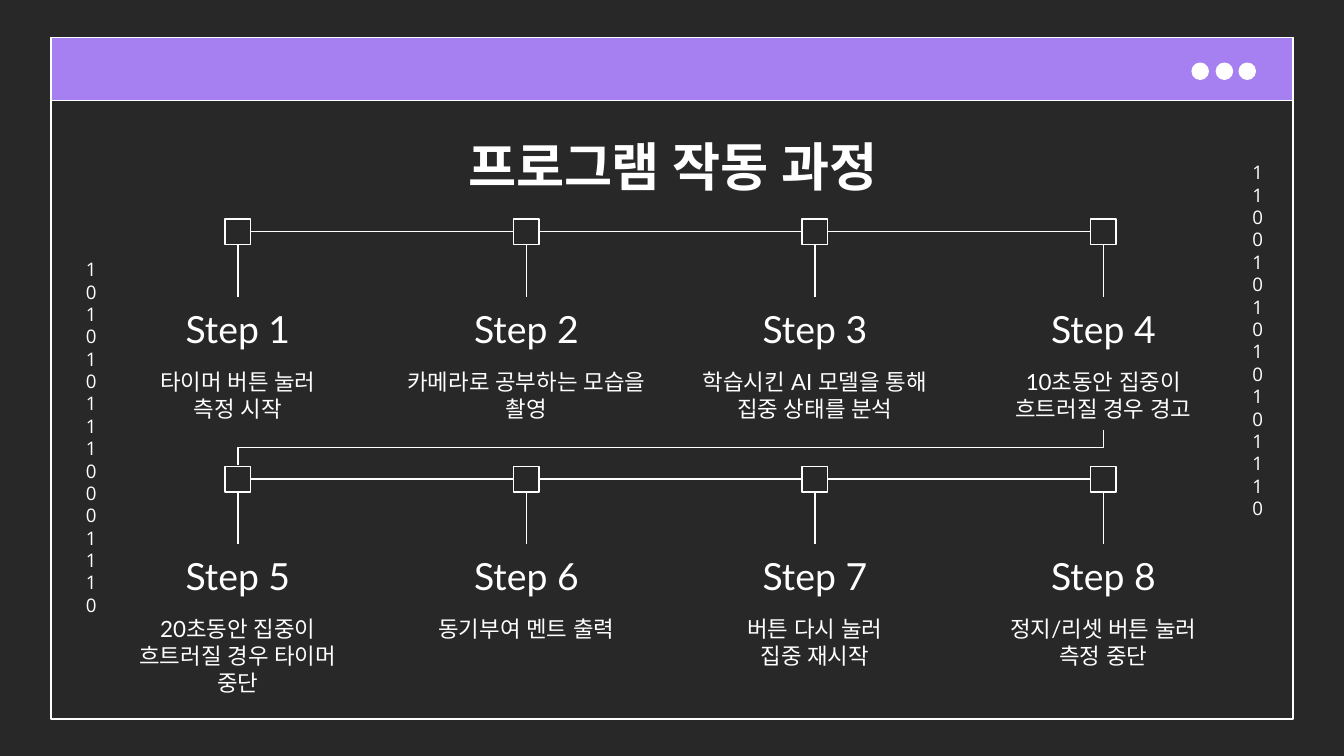
from dataclasses import dataclass

from pptx import Presentation
from pptx import util as u
from pptx.dml.color import RGBColor
from pptx.enum import shapes, text
from pptx.oxml import ns
from lxml import etree


@dataclass(frozen=True)
class Theme:
    dark: RGBColor = RGBColor(0x29, 0x28, 0x28)
    white: RGBColor = RGBColor(0xFF, 0xFF, 0xFF)
    purple: RGBColor = RGBColor(0xA6, 0x7F, 0xF1)
    heading: str = "Lato"
    digits: str = "Open Sans"
    title_size: int = 28
    step_size: int = 20
    body_size: int = 12
    digit_size: int = 10
    line_width: float = 0.75


class Canvas:
    def __init__(self, page, theme):
        self.page = page
        self.theme = theme
        page.background.fill.solid()
        page.background.fill.fore_color.rgb = theme.dark

    def shape(self, kind, left, top, width, height, fill=None):
        shape = self.page.shapes.add_shape(
            kind, u.Inches(left), u.Inches(top), u.Inches(width), u.Inches(height))
        shape.shadow.inherit = False
        if fill is None:
            shape.fill.background()
        else:
            shape.fill.solid()
            shape.fill.fore_color.rgb = fill
        self.outline(shape.line)
        return shape

    def outline(self, line):
        line.color.rgb = self.theme.white
        line.width = u.Pt(self.theme.line_width)

    def label(self, words, left, top, width, height, size, font=None,
              bold=False, anchor=text.MSO_ANCHOR.TOP, spacing=None):
        box = self.page.shapes.add_textbox(
            u.Inches(left), u.Inches(top), u.Inches(width), u.Inches(height))
        frame = box.text_frame
        frame.word_wrap = True
        frame.vertical_anchor = anchor
        frame.margin_left = frame.margin_right = u.Inches(0.1)
        frame.margin_top = frame.margin_bottom = u.Inches(0.1)
        frame.text = words
        font = font or self.theme.heading
        for para in frame.paragraphs:
            para.alignment = text.PP_ALIGN.CENTER
            if spacing:
                para.line_spacing = u.Pt(spacing)
            for span in para.runs:
                span.font.size = u.Pt(size)
                span.font.bold = bold
                span.font.color.rgb = self.theme.white
                span.font.name = font
                # Use the same typeface for Korean text
                east_asian = etree.SubElement(span.font._element, ns.qn("a:ea"))
                east_asian.set("typeface", font)
        return box

    def connector(self, kind, left, top, right, bottom):
        line = self.page.shapes.add_connector(
            kind, u.Inches(left), u.Inches(top), u.Inches(right), u.Inches(bottom))
        self.outline(line.line)
        etree.SubElement(line._element.spPr, ns.qn("a:effectLst"))
        return line

    def join(self, start, start_side, end, end_side):
        line = self.connector(shapes.MSO_CONNECTOR.STRAIGHT, 0, 0, 1, 1)
        line.begin_connect(start, start_side)
        line.end_connect(end, end_side)

    def turned_elbow(self, left, top, width, height):
        """Elbow turned by 90 degrees, so that it leaves and arrives vertically."""
        line = self.connector(
            shapes.MSO_CONNECTOR.ELBOW, left, top, left + width, top + height)
        line._element.spPr.find(ns.qn("a:xfrm")).set("rot", "5400000")


TOP, LEFT, BOTTOM, RIGHT = range(4)
FIRST_CENTER, ROW_SPAN = 1.77, 6.44
FIRST_ROW, ROW_PITCH = 1.63, 1.84
NODE, STEP_WIDTH = 0.19, 1.98
STEP_ROWS = [
    ["타이머 버튼 눌러\n측정 시작", "카메라로 공부하는 모습을 촬영",
     "학습시킨 AI 모델을 통해\n집중 상태를 분석", "10초동안 집중이 흐트러질 경우 경고"],
    ["20초동안 집중이 흐트러질 경우 타이머 중단", "동기부여 멘트 출력",
     "버튼 다시 눌러\n집중 재시작", "정지/리셋 버튼 눌러\n측정 중단"],
]


def draw_window(canvas):
    theme, kind = canvas.theme, shapes.MSO_SHAPE
    canvas.shape(kind.RECTANGLE, 0.38, 0.28, 9.24, 5.07)
    canvas.shape(kind.RECTANGLE, 0.38, 0.28, 9.24, 0.47, theme.purple)
    for left in (8.87, 9.05, 9.22):
        canvas.shape(kind.OVAL, left, 0.47, 0.12, 0.12, theme.white)
    # Columns of binary digits, wrapped to one digit per line
    for digits, left, top in [("1100101010101110", 9.22, 1.1),
                              ("101010111000111\n0", 0.54, 1.82)]:
        canvas.label(digits, left, top, 0.24, 2.8, theme.digit_size,
                     font=theme.digits, spacing=12)


def draw_step_row(canvas, row, descriptions):
    theme = canvas.theme
    top = FIRST_ROW + ROW_PITCH * row
    pitch = ROW_SPAN / (len(descriptions) - 1)
    previous = None
    for column, description in enumerate(descriptions):
        center = FIRST_CENTER + pitch * column
        left = center - STEP_WIDTH / 2
        number = row * len(descriptions) + column + 1
        node = canvas.shape(shapes.MSO_SHAPE.RECTANGLE, center - NODE / 2, top,
                            NODE, NODE, theme.dark)
        name = canvas.label(f"Step {number}", left, top + 0.58, STEP_WIDTH, 0.5,
                            theme.step_size, anchor=text.MSO_ANCHOR.BOTTOM)
        canvas.label(description, left, top + 1.01, STEP_WIDTH, 0.57, theme.body_size)
        canvas.join(node, BOTTOM, name, TOP)
        if previous is not None:
            canvas.join(previous, RIGHT, node, LEFT)
        previous = node


def main():
    deck = Presentation()
    # Widescreen page, 16 to 9
    deck.slide_width, deck.slide_height = u.Inches(10), u.Inches(10 * 9 / 16)
    page = deck.slides.add_slide(deck.slide_layouts[6])
    canvas = Canvas(page, Theme())

    # Window frame and title
    draw_window(canvas)
    canvas.label("프로그램 작동 과정", 0.79, 0.9, 8.43, 0.63,
                 canvas.theme.title_size, bold=True)

    # Two rows of steps, linked from step 4 to step 5
    for row, descriptions in enumerate(STEP_ROWS):
        draw_step_row(canvas, row, descriptions)
    canvas.turned_elbow(4.86, 0.11, 0.26, ROW_SPAN)

    deck.save("out.pptx")


if __name__ == "__main__":
    main()
